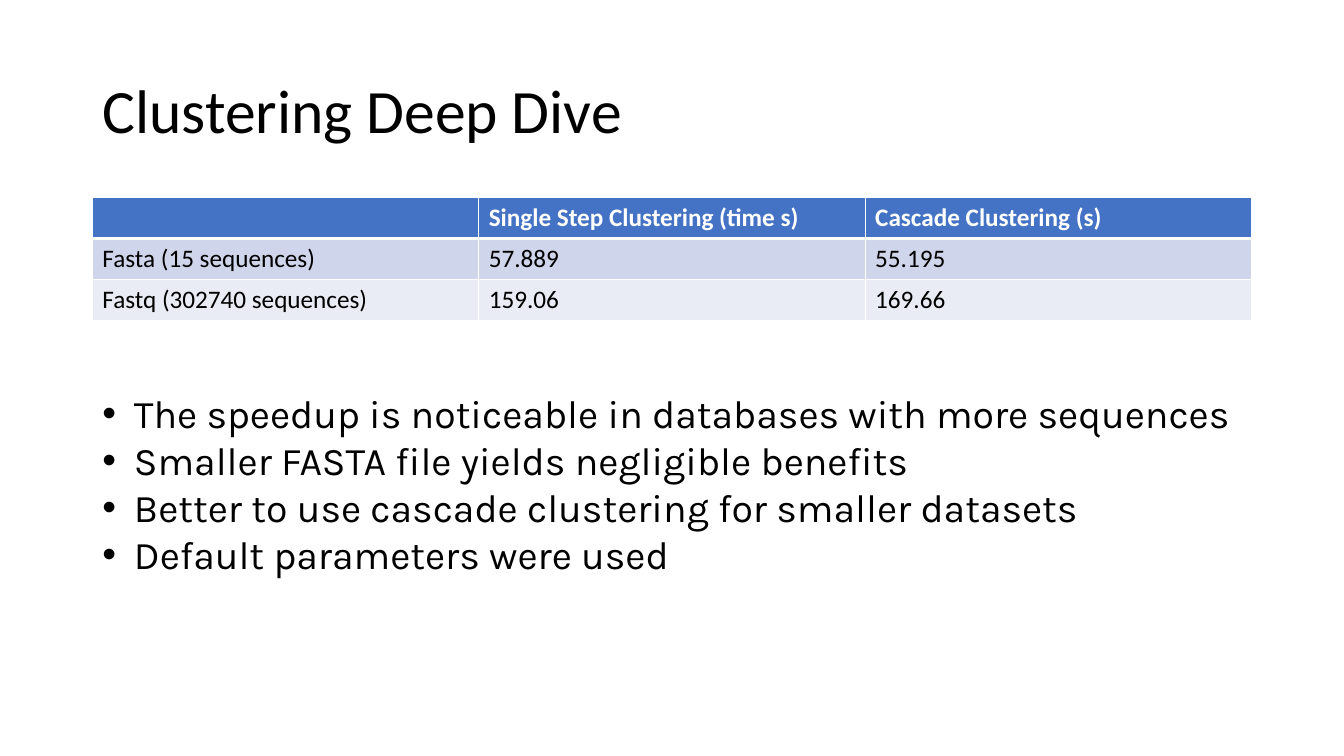
import pptx
import pptx.util
import pptx.dml.color
import pptx.enum.text
import pptx.oxml
import pptx.oxml.ns
from pptx.util import Pt

COLORS = {
    "text": "000000",
    "white": "FFFFFF",
    "header": "4472C4",
    "band_dark": "CFD5EA",
    "band_light": "E9EBF5",
}
LEFT, WIDTH = 66, 828
ROW_HEIGHT = 29.2

ROWS = [
    ["", "Single Step Clustering (time s)", "Cascade Clustering (s)"],
    ["Fasta (15 sequences)", "57.889", "55.195"],
    ["Fastq (302740 sequences)", "159.06", "169.66"],
]
FINDINGS = [
    "The speedup is noticeable in databases with more sequences",
    "Smaller FASTA file yields negligible benefits",
    "Better to use cascade clustering for smaller datasets",
    "Default parameters were used",
]


def rgb(name):
    return pptx.dml.color.RGBColor.from_string(COLORS[name])


def place(shape, left, top, width, height):
    shape.left, shape.top = Pt(left), Pt(top)
    shape.width, shape.height = Pt(width), Pt(height)


def format_runs(p, font, size, color, bold=False):
    for r in p.runs:
        r.font.name = font
        r.font.size = Pt(size)
        r.font.bold = bold
        r.font.color.rgb = rgb(color)


def set_borders(cell, widths):
    """Draw white cell edges; widths maps L, R, T, B to points."""
    tcPr = cell._tc.get_or_add_tcPr()
    for i, (side, width) in enumerate(widths.items()):
        ln = pptx.oxml.parse_xml(
            f'<a:ln{side} {pptx.oxml.ns.nsdecls("a")} w="{Pt(width)}">'
            f'<a:solidFill><a:srgbClr val="{COLORS["white"]}"/></a:solidFill>'
            f'</a:ln{side}>')
        tcPr.insert(i, ln)


def set_bullet(p, indent):
    pPr = p._p.get_or_add_pPr()
    pPr.set("marL", str(Pt(indent)))
    pPr.set("indent", str(-Pt(indent)))
    for tag in ('buFont typeface="Arial"', 'buChar char="•"'):
        pPr.append(pptx.oxml.parse_xml(
            f'<a:{tag} {pptx.oxml.ns.nsdecls("a")}/>'))


def add_title(s, text):
    title = s.shapes.title
    place(title, LEFT, 28.75, WIDTH, 104.4)
    tf = title.text_frame
    tf.text = text
    tf.vertical_anchor = pptx.enum.text.MSO_ANCHOR.MIDDLE
    p = tf.paragraphs[0]
    p.alignment = pptx.enum.text.PP_ALIGN.LEFT
    p.line_spacing = 0.9
    format_runs(p, "Calibri", 44, "text")


def add_timings(s, rows):
    table = s.shapes.add_table(
        len(rows), len(rows[0]), Pt(LEFT), Pt(141.2),
        Pt(WIDTH), Pt(ROW_HEIGHT * len(rows))).table
    fills = ["header", "band_dark", "band_light"]
    for i, row in enumerate(rows):
        header = i == 0
        for j, text in enumerate(row):
            cell = table.cell(i, j)
            cell.text = text
            cell.fill.solid()
            cell.fill.fore_color.rgb = rgb(fills[i])
            format_runs(cell.text_frame.paragraphs[0], "Calibri", 18,
                        "white" if header else "text", bold=header)
            set_borders(cell, {"L": 1, "R": 1, "T": 3 if i == 1 else 1,
                               "B": 3 if header else 1})


def add_findings(s, lines):
    body = s.placeholders[1]
    place(body, LEFT, 274.5, 836, 143.3)
    tf = body.text_frame
    tf.text = "\n".join(lines)
    tf.auto_size = pptx.enum.text.MSO_AUTO_SIZE.NONE
    tf.vertical_anchor = pptx.enum.text.MSO_ANCHOR.TOP
    for p in tf.paragraphs:
        p.line_spacing = 1.0
        p.space_before = p.space_after = Pt(0)
        set_bullet(p, 22.5)
        format_runs(p, "Karla", 28, "text")


def main():
    prs = pptx.Presentation()
    prs.slide_width, prs.slide_height = Pt(960), Pt(540)
    s = prs.slides.add_slide(prs.slide_layouts[1])

    # Heading, timing table, conclusions
    add_title(s, "Clustering Deep Dive")
    add_timings(s, ROWS)
    add_findings(s, FINDINGS)

    prs.save("out.pptx")


if __name__ == "__main__":
    main()
